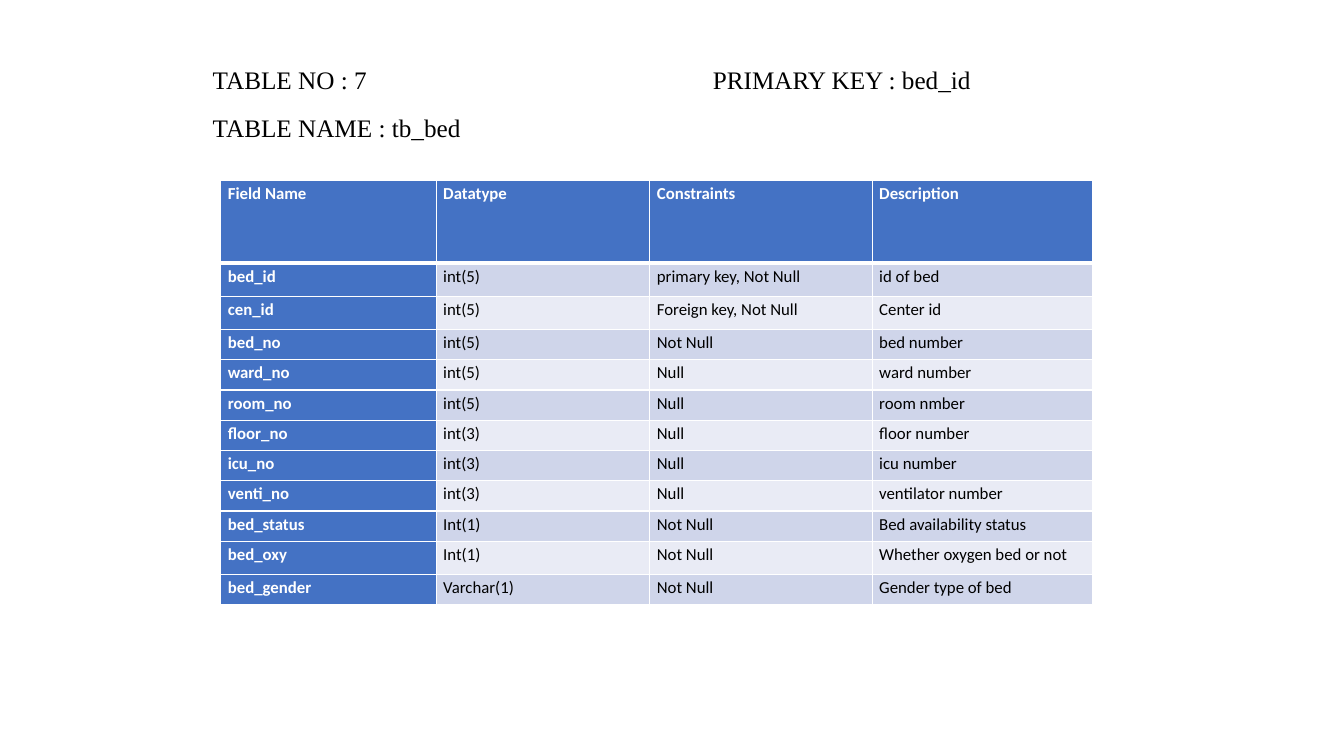
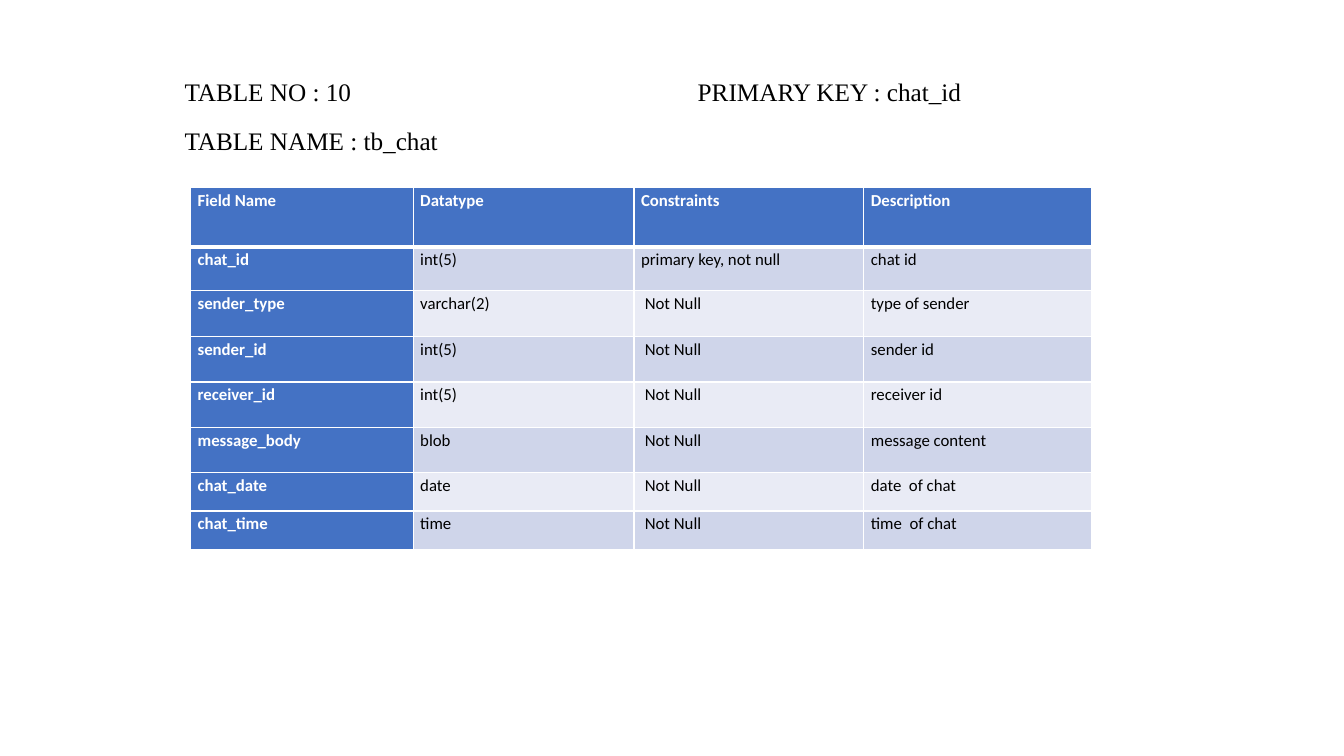
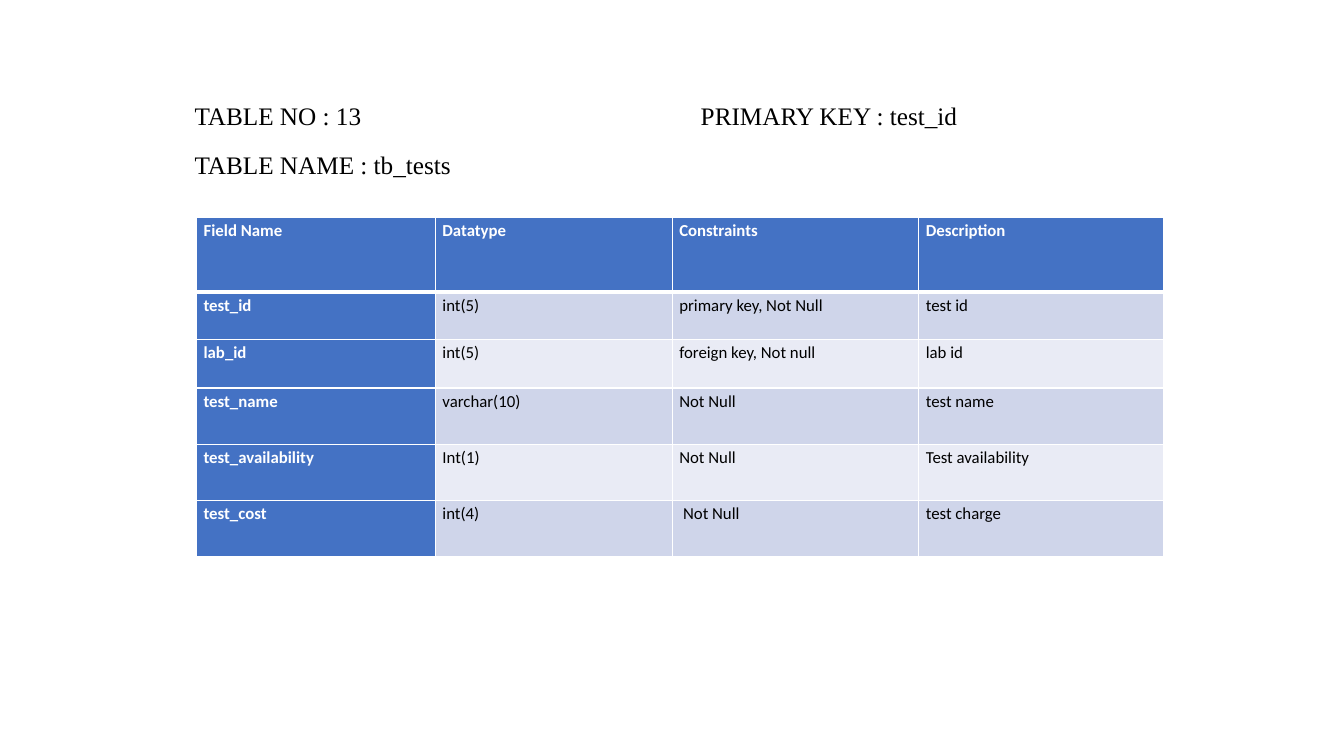
from lxml.etree import SubElement
from pptx import Presentation
from pptx.dml.color import RGBColor
from pptx.enum.text import MSO_ANCHOR, MSO_AUTO_SIZE, PP_ALIGN
from pptx.oxml.ns import qn
from pptx.util import Inches, Pt

WHITE, BLACK, BLUE = "FFFFFF", "000000", "4472C4"
BANDS = ("CFD5EA", "E9EBF5")
HEADER = ("Field Name", "Datatype", "Constraints", "Description")
COL_PERCENT = (24.7, 24.5, 25.5, 25.3)

BED_FIELDS = [
    ("bed_id", "int(5)", "primary key, Not Null", "id of bed"),
    ("cen_id", "int(5)", "Foreign key, Not Null", "Center id"),
    ("bed_no", "int(5)", "Not Null", "bed number"),
    ("ward_no", "int(5)", "Null", "ward number"),
    ("room_no", "int(5)", "Null", "room nmber"),
    ("floor_no", "int(3)", "Null", "floor number"),
    ("icu_no", "int(3)", "Null", "icu number"),
    ("venti_no", "int(3)", "Null", "ventilator number"),
    ("bed_status", "Int(1)", "Not Null", "Bed availability status"),
    ("bed_oxy", "Int(1)", "Not Null", "Whether oxygen bed or not"),
    ("bed_gender", "Varchar(1)", "Not Null", "Gender type of bed"),
]
CHAT_FIELDS = [
    ("chat_id", "int(5)", "primary key, not null", "chat id"),
    ("sender_type", "varchar(2)", " Not Null", "type of sender"),
    ("sender_id", "int(5)", " Not Null", "sender id"),
    ("receiver_id", "int(5)", " Not Null", "receiver id"),
    ("message_body", "blob", " Not Null", "message content"),
    ("chat_date", "date", " Not Null", "date  of chat"),
    ("chat_time", "time", " Not Null", "time  of chat"),
]
TEST_FIELDS = [
    ("test_id", "int(5)", "primary key, Not Null", "test id"),
    ("lab_id", "int(5)", "foreign key, Not null", "lab id"),
    ("test_name", "varchar(10)", "Not Null", "test name"),
    ("test_availability", "Int(1)", "Not Null", "Test availability"),
    ("test_cost", "int(4)", " Not Null", "test charge"),
]


def rgb(color):
    return RGBColor.from_string(color)


def write(p, text, font, size, color=BLACK, bold=False):
    p.alignment = PP_ALIGN.LEFT
    p.line_spacing = 1.15
    p.space_after = Pt(10)
    r = p.add_run()
    r.text = text
    r.font.name, r.font.size, r.font.bold = font, Pt(size), bold
    r.font.color.rgb = rgb(color)


def set_borders(cell, **widths):
    """Draw white cell borders; widths in points, keyed L, R, T and B."""
    tcPr = cell._tc.get_or_add_tcPr()
    for side in "LRTB":
        ln = SubElement(tcPr, qn(f"a:ln{side}"), w=str(Pt(widths.get(side, 1))))
        fill = SubElement(ln, qn("a:solidFill"))
        SubElement(fill, qn("a:srgbClr"), val=WHITE)


def add_heading(s, box, number, name, key, key_tab):
    """Put the table's number, key and name in the title; key_tab in inches."""
    title = s.shapes.title
    title.left, title.top, title.width, title.height = map(Inches, box)
    tf = title.text_frame
    tf.word_wrap = True
    tf.auto_size = MSO_AUTO_SIZE.NONE
    tf.vertical_anchor = MSO_ANCHOR.TOP
    p = tf.paragraphs[0]
    tabs = SubElement(p._p.get_or_add_pPr(), qn("a:tabLst"))
    SubElement(tabs, qn("a:tab"), pos=str(Inches(key_tab)), algn="l")
    write(p, f"TABLE NO : {number}\tPRIMARY KEY : {key}", "Times New Roman", 18)
    write(tf.add_paragraph(), f"TABLE NAME : {name}", "Times New Roman", 18)


def add_field_table(s, box, fields, heights):
    rows = [HEADER, *fields]
    left, top, width = box
    table = s.shapes.add_table(len(rows), len(HEADER), Inches(left), Inches(top),
                               Inches(width), Inches(sum(heights))).table
    for col, percent in zip(table.columns, COL_PERCENT):
        col.width = Inches(width * percent / 100)
    for i, (texts, height) in enumerate(zip(rows, heights)):
        table.rows[i].height = Inches(height)
        for j, text in enumerate(texts):
            cell = table.cell(i, j)
            heading = i == 0 or j == 0
            cell.margin_left = cell.margin_right = Inches(0.07)
            cell.margin_top = cell.margin_bottom = 0
            set_borders(cell, T=3 if i == 1 else 1, B=3 if i == 0 else 1)
            cell.fill.solid()
            cell.fill.fore_color.rgb = rgb(BLUE if heading else BANDS[(i - 1) % 2])
            write(cell.text_frame.paragraphs[0], text, "Calibri", 12,
                  color=WHITE if heading else BLACK, bold=heading)


def add_table_slide(prs, heading_box, heading, table_box, fields, heights):
    s = prs.slides.add_slide(prs.slide_layouts[5])
    add_heading(s, heading_box, *heading)
    add_field_table(s, table_box, fields, heights)


def main():
    prs = Presentation()
    prs.slide_width, prs.slide_height = Inches(13.33), Inches(7.5)
    add_table_slide(prs, (2.01, 0.54, 8.65, 0.94), (7, "tb_bed", "bed_id", 4.96),
                    (2.19, 1.79, 8.65), BED_FIELDS,
                    [0.82, 0.33, 0.33, *[0.3] * 7, 0.33, 0.3])
    add_table_slide(prs, (1.73, 0.66, 8.33, 0.94), (10, "tb_chat", "chat_id", 5.09),
                    (1.89, 1.86, 8.94), CHAT_FIELDS,
                    [0.59, 0.43, 0.46, 0.45, 0.45, 0.45, 0.38, 0.38])
    add_table_slide(prs, (1.83, 0.9, 9.86, 0.94), (13, "tb_tests", "test_id", 5.02),
                    (1.95, 2.16, 9.59), TEST_FIELDS,
                    [0.74, 0.47, 0.48, 0.56, 0.56, 0.55])
    prs.save("out.pptx")


if __name__ == "__main__":
    main()
